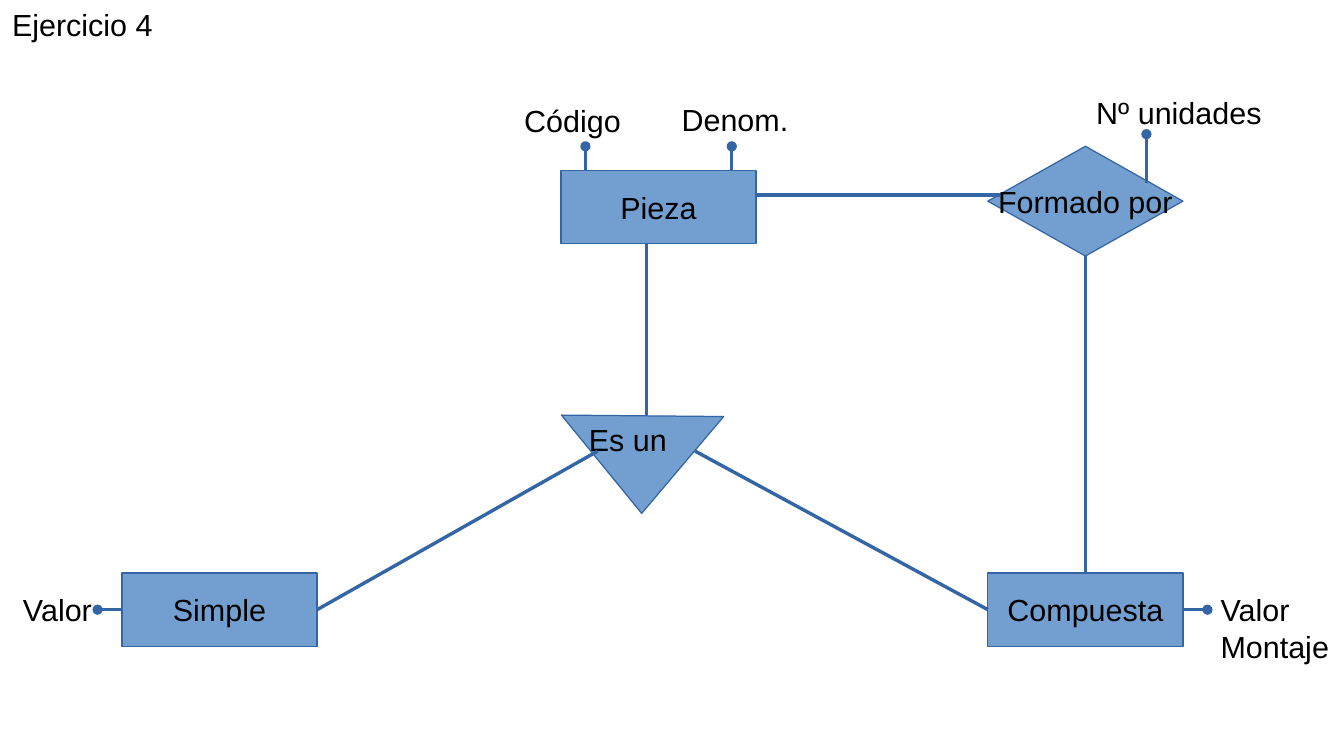
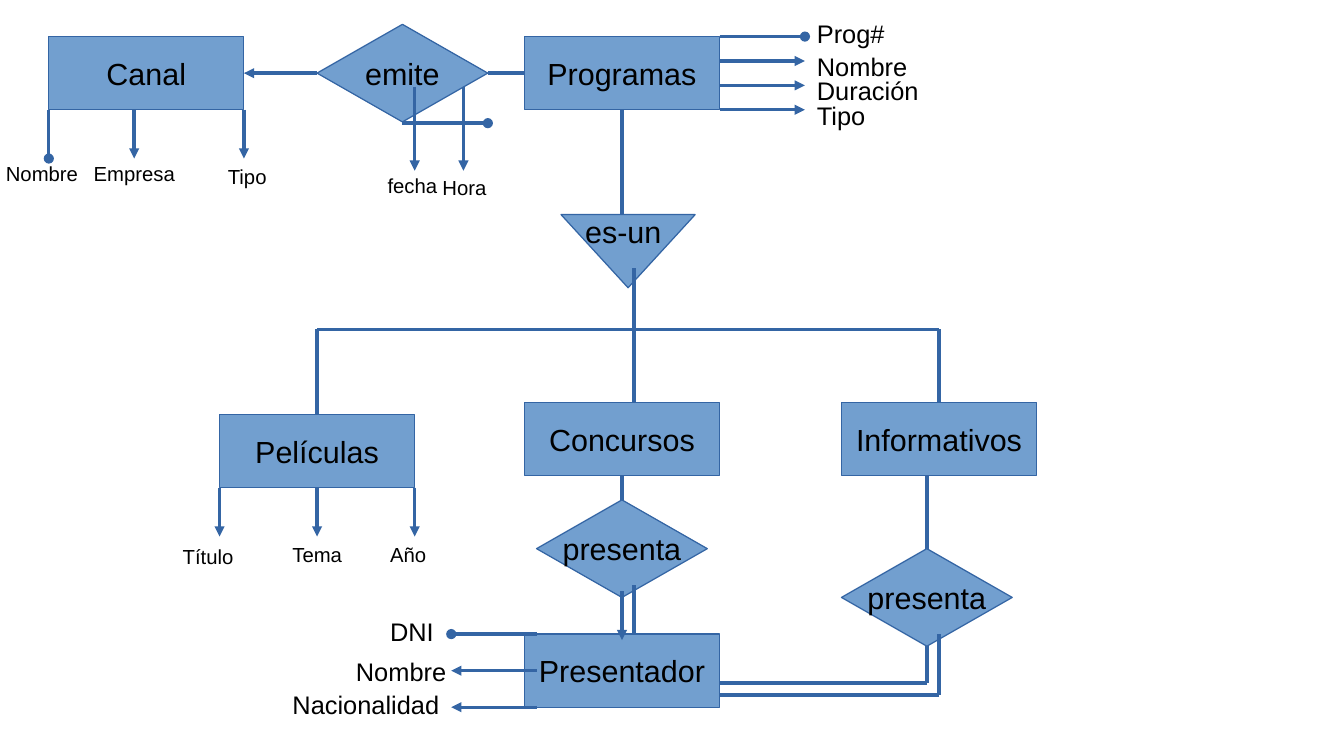
from dataclasses import dataclass
from lxml.etree import SubElement
from pptx import Presentation
from pptx.dml.color import RGBColor as Rgb
from pptx.enum.shapes import MSO_CONNECTOR as Connector, MSO_SHAPE as Preset
from pptx.enum.text import MSO_ANCHOR as Anchor, MSO_AUTO_SIZE as AutoSize, PP_ALIGN as Align
from pptx.oxml.ns import qn
from pptx.util import Emu, Pt

EMU_PER_PX = 9144


@dataclass(frozen=True)
class Theme:
    """Colours, font and type sizes of the diagrams."""
    fill: Rgb = Rgb(0x72, 0x9F, 0xCF)
    line: Rgb = Rgb(0x34, 0x65, 0xA4)
    ink: Rgb = Rgb(0, 0, 0)
    font: str = "Arial"
    large: int = 18
    medium: int = 15
    small: int = 12


THEME = Theme()


@dataclass(frozen=True)
class Box:
    """A region in px."""
    left: int
    top: int
    width: int
    height: int

    def inner(self, left, top, width, height):
        """Return a box placed relative to this one."""
        return Box(self.left + left, self.top + top, width, height)

    def emu(self):
        """Return left, top, width and height in EMU."""
        return [px(n) for n in (self.left, self.top, self.width, self.height)]


def px(length):
    """Turn px into EMU."""
    return Emu(length * EMU_PER_PX)


def write_text(frame, text, *, size, align=Align.LEFT, anchor=Anchor.TOP, wrap=True):
    """Fill a text frame with one formatted paragraph."""
    frame.word_wrap = wrap
    frame.vertical_anchor = anchor
    para = frame.paragraphs[0]
    para.alignment = align
    span = para.add_run()
    span.text = text
    span.font.name = THEME.font
    span.font.size = Pt(size)
    span.font.color.rgb = THEME.ink


def add_label(page, box, text, size=THEME.large):
    """Add a free text label that grows with its text."""
    frame = page.shapes.add_textbox(*box.emu()).text_frame
    write_text(frame, text, size=size)
    frame.auto_size = AutoSize.SHAPE_TO_FIT_TEXT


def add_node(page, box, preset, text=""):
    """Add a filled shape with an optional centred name."""
    node = page.shapes.add_shape(preset, *box.emu())
    node.shadow.inherit = False
    node.fill.solid()
    node.fill.fore_color.rgb = THEME.fill
    node.line.color.rgb = THEME.line
    node.line.width = Pt(0)
    if text:
        write_text(node.text_frame, text, size=THEME.large, align=Align.CENTER,
                   anchor=Anchor.MIDDLE, wrap=False)
    return node


def add_entity(page, box, text):
    """Add an entity rectangle."""
    add_node(page, box, Preset.RECTANGLE, text)


def add_relation(page, box, text):
    """Add a relation diamond."""
    add_node(page, box, Preset.DIAMOND, text)


def add_isa(page, box, text, label, turn=180):
    """Add an inverted triangle with its label."""
    add_node(page, box, Preset.ISOSCELES_TRIANGLE).rotation = turn
    add_label(page, box.inner(*label), text)


def add_line(page, box, start, end, head=None):
    """Join two points given relative to the box."""
    ends = [px(n) for x, y in (start, end) for n in (box.left + x, box.top + y)]
    line = page.shapes.add_connector(Connector.STRAIGHT, *ends)
    line.line.color.rgb = THEME.line
    line.line.width = Pt(0)
    props = line._element.spPr
    if head:
        SubElement(props.find(qn("a:ln")), qn("a:tailEnd"), type=head)
    SubElement(props, qn("a:effectLst"))


def add_attributes(page, box, items, size):
    """Add stubs with heads and labels, all relative to the box."""
    for start, end, head, text, label in items:
        add_line(page, box, start, end, head)
        add_label(page, box.inner(*label), text, size)


def add_drops(page, box, top, drop, items, size=THEME.small):
    """Add attributes that leave one level of the box vertically."""
    add_attributes(page, box, [((x, top), (x, top + drop), head, text, label)
                               for x, head, text, label in items], size)


def add_sides(page, box, start, end, items, size=THEME.medium):
    """Add attributes that leave the box sideways."""
    add_attributes(page, box, [((start, y), (end, y), head, text, label)
                               for y, head, text, label in items], size)


def draw_pieces(page, box):
    """Draw the diagram of simple and compound pieces."""
    piece, compound, simple = (box.inner(x, y, 160, 60)
                               for x, y in ((460, 140), (810, 470), (100, 470)))
    for entity, text in ((piece, "Pieza"), (compound, "Compuesta"), (simple, "Simple")):
        add_entity(page, entity, text)
    add_relation(page, box.inner(810, 120, 160, 90), "Formado por")
    add_line(page, box, (890, 210), (890, 470))
    add_line(page, box, (820, 160), (620, 160))
    add_isa(page, box.inner(460, 341, 133, 80), "Es un", (13, -1, 186, 50), 180.5)
    add_line(page, box, (260, 500), (490, 370))
    add_line(page, box, (570, 370), (810, 500))
    add_line(page, box, (530, 200), (530, 340))
    add_drops(page, piece, 0, -20, (
        (20, "oval", "Código", (-40, -61, 111, 38)),
        (140, "oval", "Denom.", (89, -62, 111, 38))), THEME.large)
    add_sides(page, simple, 0, -20, (
        (30, "oval", "Valor", (-91, 10, 111, 38)),), THEME.large)
    add_sides(page, compound, 160, 180, (
        (30, "oval", "Valor Montaje", (181, 10, 111, 66)),), THEME.large)
    add_drops(page, box, 150, -40, (
        (940, "oval", "Nº unidades", (889, 72, 191, 94)),), THEME.large)
    add_label(page, box.inner(0, 0, 241, 66), "Ejercicio 4")


def draw_channel(page, box):
    """Draw the channel entity and its attributes."""
    add_entity(page, box, "Canal")
    add_drops(page, box, 60, 40, (
        (0, "oval", "Nombre", (-45, 97, 110, 29)),
        (70, "triangle", "Empresa", (27, 97, 110, 29)),
        (160, "triangle", "Tipo", (137, 100, 70, 29))))


def draw_broadcast(page, box):
    """Draw the broadcast relation, its links and attributes."""
    add_relation(page, box, "emite")
    add_line(page, box, (0, 40), (-60, 40), "triangle")
    add_line(page, box, (140, 40), (170, 40))
    add_drops(page, box, 51, 69, (
        (80, "triangle", "fecha", (48, 117, 90, 29)),
        (120, "triangle", "Hora", (93, 119, 70, 33))))
    add_line(page, box, (70, 81), (140, 81), "oval")


def draw_programme(page, box):
    """Draw the programme entity and its attributes."""
    add_entity(page, box, "Programas")
    add_sides(page, box, 160, 230, [
        (20 * row, "triangle" if row else "oval", text, (230, top, 110, 33))
        for row, (text, top) in enumerate((
            ("Prog#", -20), ("Nombre", 7), ("Duración", 27), ("Tipo", 47)))])


def draw_kinds(page, box):
    """Draw the programme kinds below their triangle."""
    films = box.inner(0, 164, 160, 60)
    add_entity(page, films, "Películas")
    add_entity(page, box.inner(250, 154, 160, 60), "Concursos")
    add_entity(page, box.inner(510, 154, 160, 60), "Informativos")
    add_isa(page, box.inner(280, 0, 110, 60), "es-un", (10, -6, 100, 66))
    for start, end in (((330, -86), (330, 0)), ((340, 44), (340, 154)),
                       ((590, 154), (590, 94)), ((590, 94), (80, 94)),
                       ((80, 94), (80, 164))):
        add_line(page, box, start, end)
    add_drops(page, films, 60, 40, (
        (0, "triangle", "Título", (-40, 101, 110, 29)),
        (80, "triangle", "Tema", (50, 100, 70, 47)),
        (160, "triangle", "Año", (130, 100, 50, 29))))


def draw_presenter(page, box):
    """Draw the presenter entity, its two relations and attributes."""
    add_entity(page, box, "Presentador")
    add_relation(page, box.inner(10, -110, 140, 80), "presenta")
    add_relation(page, box.inner(260, -70, 140, 80), "presenta")
    add_line(page, box, (80, -35), (80, 5), "triangle")
    for start, end in (((80, -130), (80, -110)), ((90, -40), (90, 0)),
                       ((330, -70), (330, -130)), ((160, 40), (330, 40)),
                       ((330, 10), (330, 40)), ((160, 50), (340, 50)),
                       ((340, 0), (340, 50))):
        add_line(page, box, start, end)
    add_sides(page, box, 10, -60, (
        (0, "oval", "DNI", (-120, -20, 110, 33)),
        (30, "triangle", "Nombre", (-148, 13, 110, 33)),
        (60, "triangle", "Nacionalidad", (-200, 40, 160, 56))))


def draw_television(page, box):
    """Draw the television diagram region by region."""
    draw_channel(page, box.inner(40, 30, 160, 60))
    draw_programme(page, box.inner(430, 30, 160, 60))
    draw_broadcast(page, box.inner(260, 20, 140, 80))
    draw_kinds(page, box.inner(180, 176, 670, 224))
    draw_presenter(page, box.inner(430, 520, 160, 60))


def main():
    """Build and save the deck."""
    deck = Presentation()
    area = Box(0, 0, 1102, 620)
    deck.slide_width, deck.slide_height = px(area.width), px(area.height)
    for draw in (draw_pieces, draw_television):
        draw(deck.slides.add_slide(deck.slide_layouts[6]), area)
    deck.save("out.pptx")


if __name__ == "__main__":
    main()
